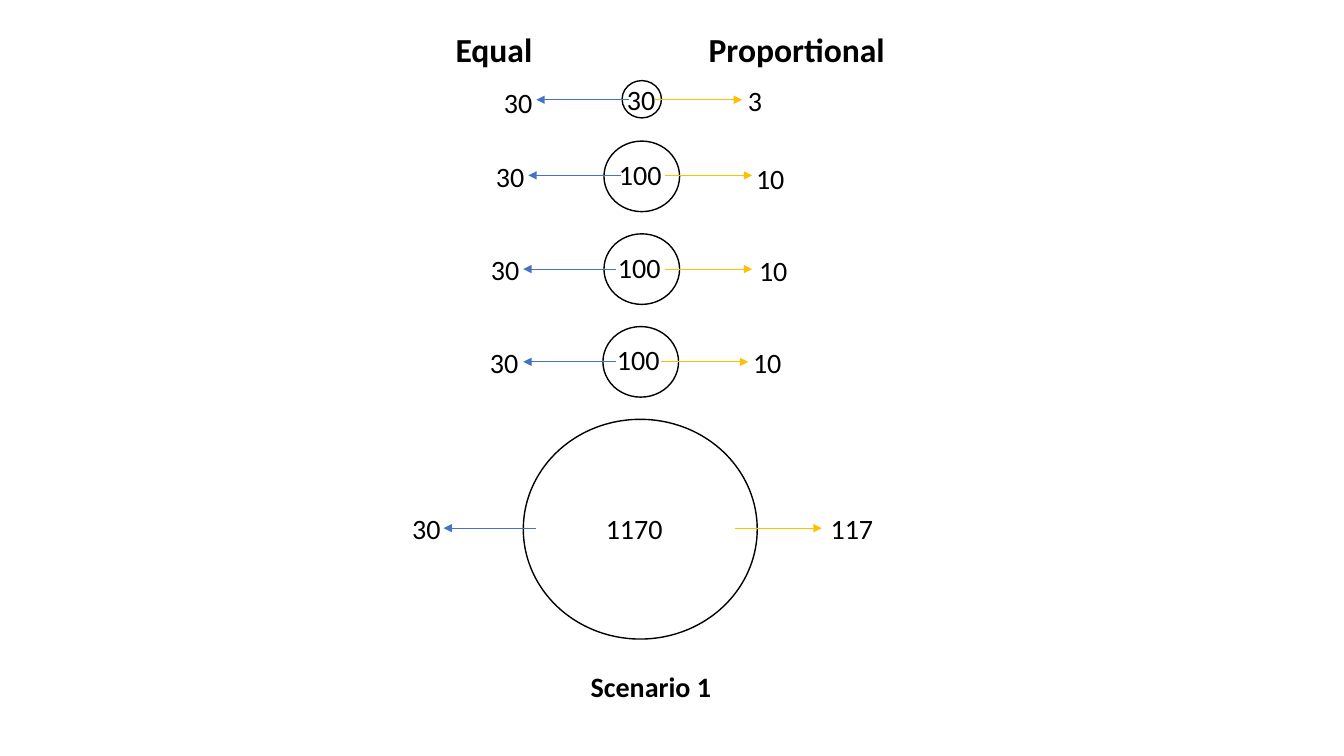
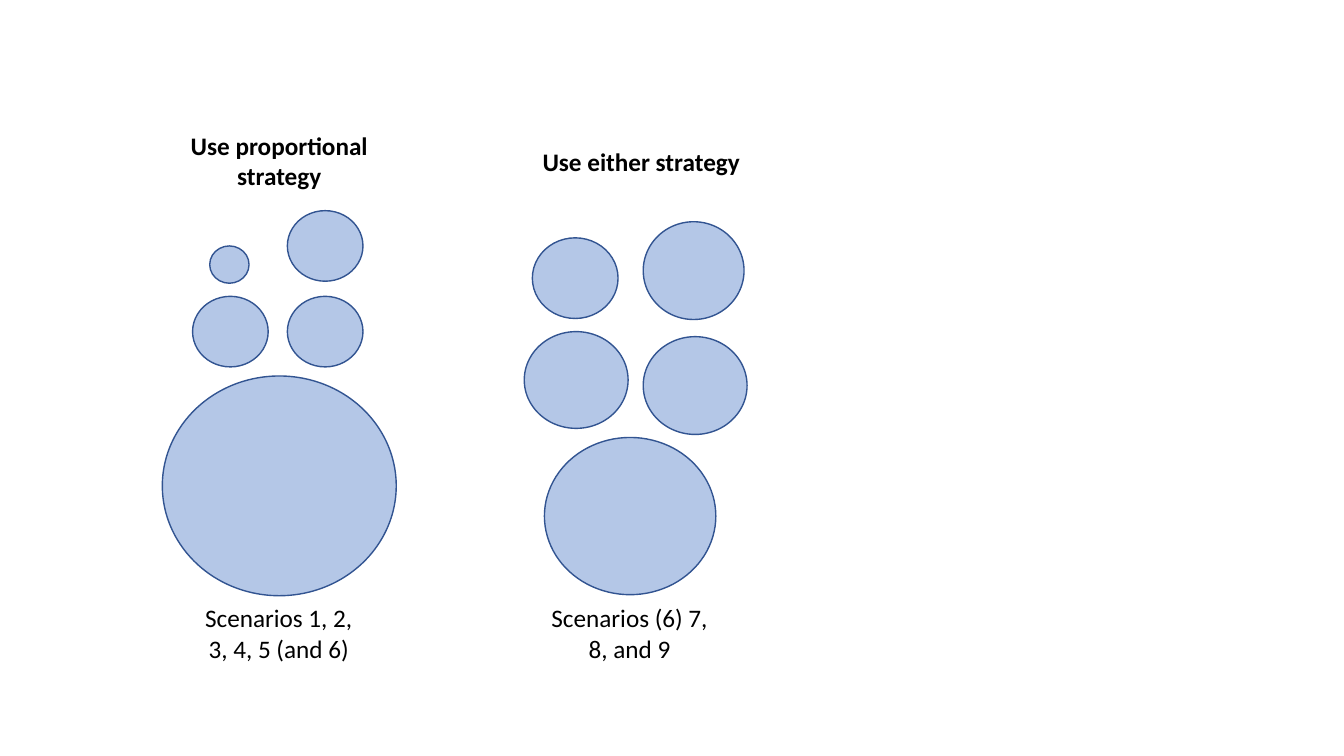
from pptx import Presentation
from pptx.dml.color import RGBColor
from pptx.enum.shapes import MSO_CONNECTOR, MSO_SHAPE
from pptx.enum.text import MSO_AUTO_SIZE, PP_ALIGN
from pptx.oxml.ns import qn
from pptx.util import Inches, Pt
from lxml import etree

OVAL = MSO_SHAPE.OVAL
LINE = MSO_CONNECTOR.STRAIGHT
GROW = MSO_AUTO_SIZE.SHAPE_TO_FIT_TEXT
LEFT, CENTER = PP_ALIGN.LEFT, PP_ALIGN.CENTER

BLACK = RGBColor(0x00, 0x00, 0x00)
BLUE = RGBColor(0x44, 0x72, 0xC4)
GOLD = RGBColor(0xFF, 0xC0, 0x00)
PALE = RGBColor(0xB4, 0xC7, 0xE7)
NAVY = RGBColor(0x32, 0x54, 0x91)

FONT = "Calibri"
HEAD = {"size": Pt(24), "bold": True}
NAME = {"size": Pt(20), "bold": True}
VALUE = {"size": Pt(20), "bold": False}
TITLE = {"size": Pt(18), "bold": True}
NOTE = {"size": Pt(18), "bold": False}

VALUE_H = 0.44
EQUAL_RUN, SHARE_RUN = -0.92, 0.86

# Each row: circle, size label, equal label, proportional label, arrows.
ROWS = [
    {"oval": (6.17, 0.8, 0.39, 0.37), "y": 0.99, "starts": (6.24, 6.5),
     "labels": [("30", 6.12, 0.77, 0.51), ("30", 4.9, 0.8, 0.51),
                ("3", 7.32, 0.78, 0.51)]},
    {"oval": (5.99, 1.4, 0.75, 0.7), "y": 1.74, "starts": (6.16, 6.6),
     "labels": [("100", 6.04, 1.51, 0.85), ("30", 4.82, 1.53, 0.51),
                ("10", 7.4, 1.55, 0.51)]},
    {"oval": (5.99, 2.32, 0.75, 0.7), "y": 2.67, "starts": (6.11, 6.6),
     "labels": [("100", 6.03, 2.44, 0.68), ("30", 4.77, 2.46, 0.51),
                ("10", 7.43, 2.47, 0.51)]},
    {"oval": (5.98, 3.24, 0.75, 0.7), "y": 3.59, "starts": (6.11, 6.56),
     "labels": [("100", 6.02, 3.35, 0.75), ("30", 4.76, 3.38, 0.51),
                ("10", 7.37, 3.38, 0.51)]},
    {"oval": (5.19, 4.16, 2.32, 2.18), "y": 5.24, "starts": (5.32, 7.29),
     "labels": [("1170", 5.91, 5.03, 0.92), ("30", 3.99, 5.03, 0.51),
                ("117", 8.14, 5.03, 0.96)]},
]

GROUPS = [
    {"title": ("Use proportional strategy", (1.61, 1.24, 2.32, 0.71)),
     "note": ("Scenarios 1, 2, 3, 4, 5 (and 6)", (1.88, 5.93, 1.77, 0.71)),
     "ovals": [(2.08, 2.44, 0.39, 0.37), (2.85, 2.09, 0.75, 0.7),
               (1.91, 2.94, 0.75, 0.7), (2.85, 2.94, 0.75, 0.7),
               (1.61, 3.73, 2.32, 2.18)]},
    {"title": ("Use either strategy", (5.2, 1.4, 2.32, 0.4)),
     "note": ("Scenarios (6) 7, 8, and 9", (5.36, 5.93, 1.77, 0.71)),
     "ovals": [(6.38, 2.2, 1, 0.97), (5.28, 2.36, 0.85, 0.8),
               (5.2, 3.29, 1.03, 0.96), (6.38, 3.34, 1.03, 0.97),
               (5.4, 4.34, 1.7, 1.56)]},
]


def add_text(slide, text, box, style, align=LEFT):
    """Add one text box in the shared font."""
    frame = slide.shapes.add_textbox(*map(Inches, box)).text_frame
    frame.word_wrap = True
    frame.auto_size = GROW
    para = frame.paragraphs[0]
    para.alignment = align
    run = para.add_run()
    run.text = text
    for key, value in {"name": FONT, **style}.items():
        setattr(run.font, key, value)
    run.font.color.rgb = BLACK


def add_oval(slide, box, edge, fill=None):
    """Add one circle, hollow unless a fill is given."""
    oval = slide.shapes.add_shape(OVAL, *map(Inches, box))
    oval.shadow.inherit = False
    if fill is None:
        oval.fill.background()
    else:
        oval.fill.solid()
        oval.fill.fore_color.rgb = fill
    oval.line.color.rgb = edge
    oval.line.width = Pt(1)


def add_arrow(slide, start, y, run, color):
    """Add a level arrow that ends in a triangle."""
    ends = map(Inches, (start, y, start + run, y))
    arrow = slide.shapes.add_connector(LINE, *ends)
    arrow.line.color.rgb = color
    arrow.line.width = Pt(0.5)
    props = arrow.element.spPr
    tip = etree.SubElement(props.find(qn("a:ln")), qn("a:tailEnd"))
    tip.set("type", "triangle")
    etree.SubElement(props, qn("a:effectLst"))


def add_row(slide, row):
    """Add a circle with its size, its arrows and their values."""
    add_oval(slide, row["oval"], BLACK)
    kinds = ((EQUAL_RUN, BLUE), (SHARE_RUN, GOLD))
    for start, (run, color) in zip(row["starts"], kinds):
        add_arrow(slide, start, row["y"], run, color)
    for text, left, top, width in row["labels"]:
        add_text(slide, text, (left, top, width, VALUE_H), VALUE)


def add_group(slide, group):
    """Add a titled cluster of circles with a note."""
    for box in group["ovals"]:
        add_oval(slide, box, NAVY, PALE)
    for key, style in (("title", TITLE), ("note", NOTE)):
        add_text(slide, *group[key], style, CENTER)


def main():
    """Build both slides and save them."""
    deck = Presentation()
    deck.slide_width, deck.slide_height = Inches(13.33), Inches(7.5)
    blank = deck.slide_layouts[6]

    slide = deck.slides.add_slide(blank)
    for text, left in (("Equal", 4.42), ("Proportional", 6.93)):
        add_text(slide, text, (left, 0.24, 1.96, 0.5), HEAD)
    for row in ROWS:
        add_row(slide, row)
    add_text(slide, "Scenario 1", (5.76, 6.59, 1.49, VALUE_H), NAME)

    slide = deck.slides.add_slide(blank)
    for group in GROUPS:
        add_group(slide, group)

    deck.save("out.pptx")


main()
